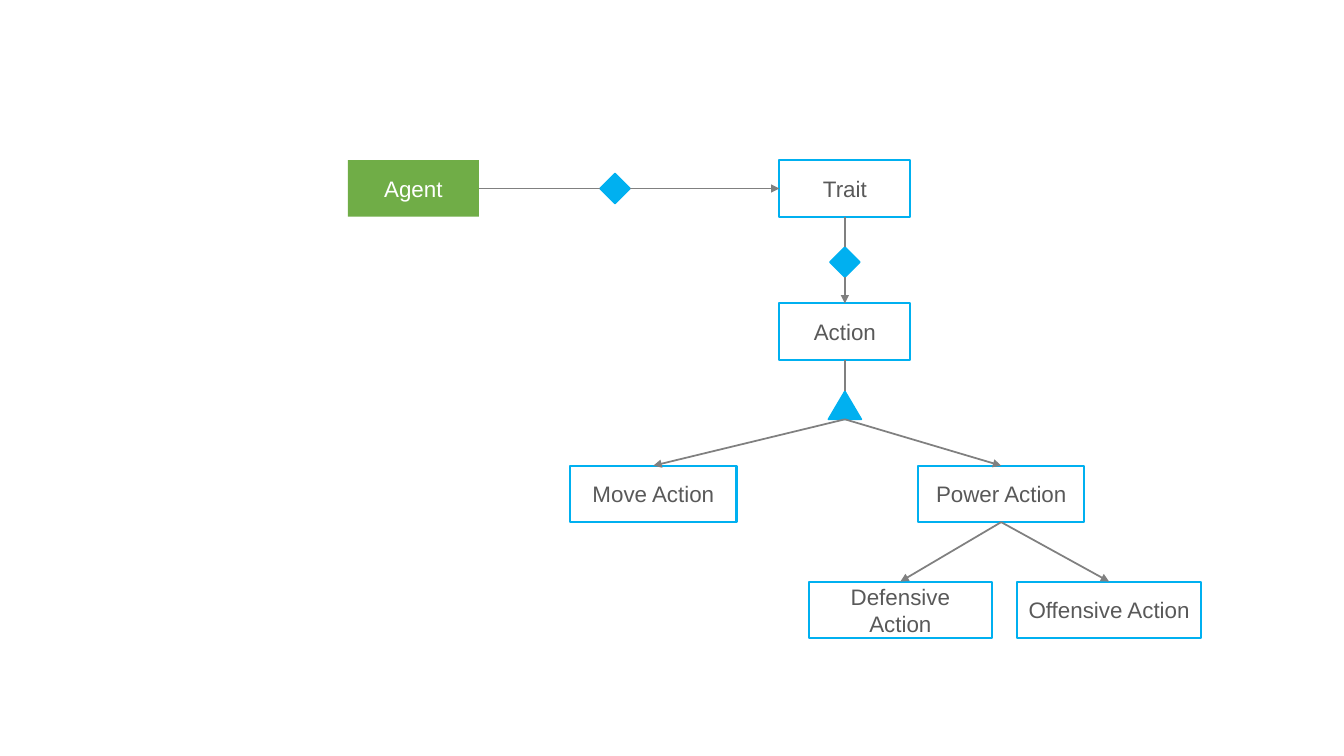
import pptx
import pptx.util
import pptx.dml.color
import pptx.enum.shapes
import pptx.enum.text
import pptx.oxml

Inches = pptx.util.Inches
Pt = pptx.util.Pt
RGBColor = pptx.dml.color.RGBColor
SHAPE = pptx.enum.shapes.MSO_SHAPE

GREEN = RGBColor(0x70, 0xAD, 0x47)
BLUE = RGBColor(0x00, 0xB0, 0xF0)
WHITE = RGBColor(0xFF, 0xFF, 0xFF)
TEXT_GREY = RGBColor(0x59, 0x59, 0x59)
LINE_GREY = RGBColor(0x80, 0x80, 0x80)
TOP, LEFT, BOTTOM, RIGHT = range(4)
BOX_HEIGHT = 0.56

BOXES = [
    ("Agent", 4.1, 1.59, 1.3),
    ("Trait", 8.38, 1.59, 1.3),
    ("Action", 8.38, 3.01, 1.3),
    ("Move Action", 6.48, 4.62, 1.65),
    ("Power Action", 9.93, 4.62, 1.65),
    ("Defensive Action", 8.93, 5.77, 1.82),
    ("Offensive Action", 11, 5.77, 1.82),
]
MARKERS = [
    ("has trait", SHAPE.DIAMOND, 6.1, 1.72, 0.3, 0.3),
    ("has action", SHAPE.DIAMOND, 8.38, 2.45, 0.3, 0.3),
    ("kinds", SHAPE.ISOSCELES_TRIANGLE, 8.38, 3.88, 0.33, 0.28),
]
LINKS = [
    ("Agent", RIGHT, "has trait", LEFT, False),
    ("has trait", RIGHT, "Trait", LEFT, True),
    ("Trait", BOTTOM, "has action", TOP, False),
    ("has action", BOTTOM, "Action", TOP, True),
    ("Action", BOTTOM, "kinds", TOP, False),
    ("kinds", BOTTOM, "Move Action", TOP, True),
    ("kinds", BOTTOM, "Power Action", TOP, True),
    ("Power Action", BOTTOM, "Defensive Action", TOP, True),
    ("Power Action", BOTTOM, "Offensive Action", TOP, True),
]


def add_node(s, kind, center, top, width, height):
    sp = s.shapes.add_shape(kind, Inches(center - width / 2), Inches(top),
                            Inches(width), Inches(height))
    sp.shadow.inherit = False
    sp.line.color.rgb = BLUE
    return sp


def add_box(s, text, center, top, width):
    sp = add_node(s, SHAPE.RECTANGLE, center, top, width, BOX_HEIGHT)
    sp.line.width = Pt(1.5)
    sp.fill.background()
    color = TEXT_GREY
    if text == "Agent":
        sp.fill.solid()
        sp.fill.fore_color.rgb = GREEN
        sp.line.fill.background()
        color = WHITE
    tf = sp.text_frame
    tf.text = text
    tf.word_wrap = True
    tf.vertical_anchor = pptx.enum.text.MSO_ANCHOR.MIDDLE
    p = tf.paragraphs[0]
    p.alignment = pptx.enum.text.PP_ALIGN.CENTER
    font = p.runs[0].font
    font.name = "Arial"
    font.size = Pt(16)
    font.color.rgb = color
    return sp


def add_marker(s, kind, center, top, width, height):
    sp = add_node(s, kind, center, top, width, height)
    sp.fill.solid()
    sp.fill.fore_color.rgb = BLUE
    sp.line.width = Pt(1)
    return sp


def side_point(sp, side):
    dx, dy = [(1, 0), (0, 1), (1, 2), (2, 1)][side]
    return sp.left + sp.width * dx // 2, sp.top + sp.height * dy // 2


def add_link(s, start, start_side, end, end_side, arrow):
    ln = s.shapes.add_connector(pptx.enum.shapes.MSO_CONNECTOR.STRAIGHT,
                                *side_point(start, start_side), *side_point(end, end_side))
    if start.auto_shape_type != SHAPE.ISOSCELES_TRIANGLE:
        ln.begin_connect(start, start_side)
    ln.end_connect(end, end_side)
    ln.line.color.rgb = LINE_GREY
    ln.line.width = Pt(1.25)
    props = ln._element.spPr
    if arrow:
        tail = pptx.oxml.parse_xml(
            '<a:tailEnd xmlns:a="http://schemas.openxmlformats.org/drawingml/2006/main" type="triangle"/>')
        ln.line._get_or_add_ln().append(tail)
    props.append(pptx.oxml.parse_xml(
        '<a:effectLst xmlns:a="http://schemas.openxmlformats.org/drawingml/2006/main"/>'))


def main():
    prs = pptx.Presentation()
    prs.slide_width = Inches(13.33)
    prs.slide_height = Inches(7.5)
    s = prs.slides.add_slide(prs.slide_layouts[6])
    nodes = {}
    for text, *place in BOXES:
        nodes[text] = add_box(s, text, *place)
    for name, *place in MARKERS:
        nodes[name] = add_marker(s, *place)
    for start, start_side, end, end_side, arrow in LINKS:
        add_link(s, nodes[start], start_side, nodes[end], end_side, arrow)
    prs.save("out.pptx")


if __name__ == "__main__":
    main()
